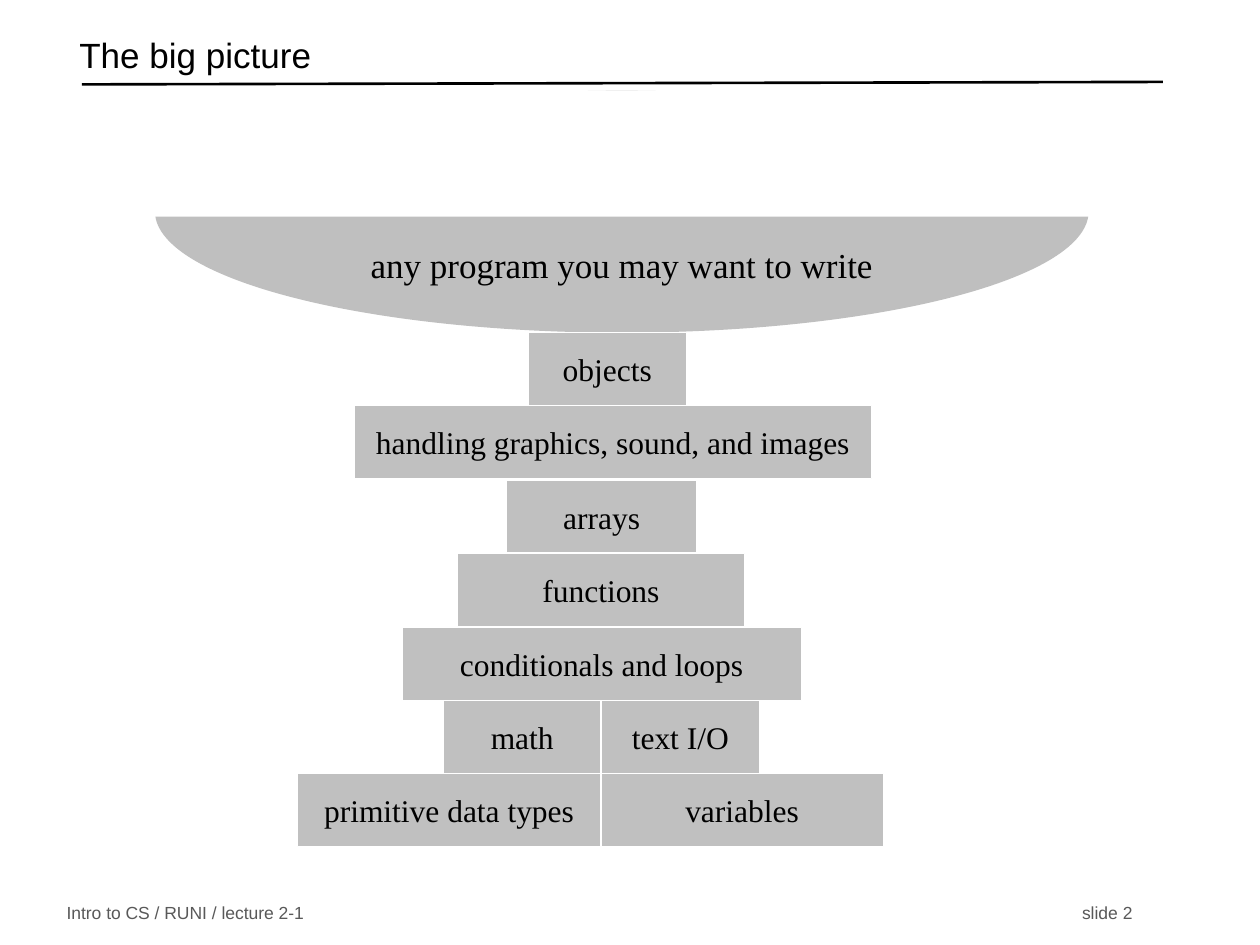
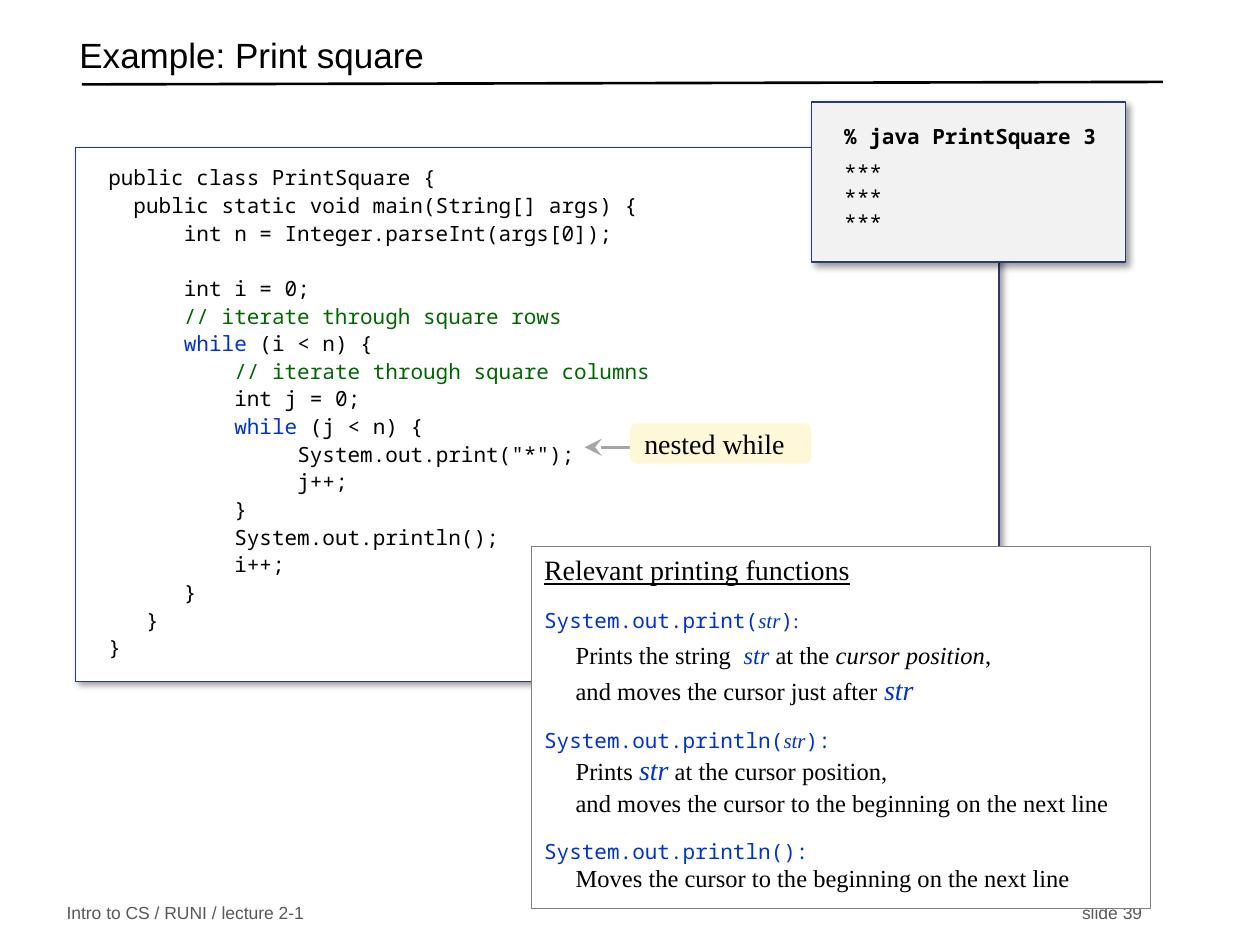
from dataclasses import dataclass

from lxml.etree import SubElement
from pptx import Presentation
from pptx.dml.color import RGBColor
from pptx.enum.shapes import MSO_CONNECTOR as Connector, MSO_SHAPE as Shape
from pptx.enum.text import MSO_ANCHOR as Anchor, MSO_AUTO_SIZE as AutoSize, PP_ALIGN as Align
from pptx.oxml.ns import qn
from pptx.util import Emu, Pt

PX = 9144  # 100 px to the inch


@dataclass(frozen=True)
class Theme:
    black: str = "000000"
    ink: str = "010000"
    white: str = "FFFFFF"
    brick: str = "C0C0C0"
    bowl: str = "808080"
    navy: str = "293973"
    console: str = "F2F2F2"
    callout: str = "FFF8D8"
    arrow: str = "A6A6A6"
    footer: str = "595959"
    comment: str = "006600"
    keyword: str = "0033CC"
    sans: str = "Arial"
    serif: str = "Times New Roman"
    mono: str = "Noto Sans Mono"
    heading_size: int = 20
    brick_size: int = 18
    subhead_size: int = 16
    body_size: int = 14
    code_size: int = 12
    footer_size: int = 10


T = Theme()


def style(name, size, color=T.black, **extra):
    return dict(name=name, size=Pt(size), color=color, **extra)


TITLE = style(T.sans, T.heading_size)
FOOTER = style(T.sans, T.footer_size, T.footer)
BOWL = style(T.serif, T.heading_size)
BRICK = style(T.serif, T.brick_size)
CODE = style(T.mono, T.code_size)
COMMENT = {**CODE, "color": T.comment}
KEYWORD = {**CODE, "color": T.keyword}
COMMAND = {**CODE, "color": T.ink, "bold": True}
CALLOUT = style(T.serif, T.subhead_size)
SUBHEAD = style(T.serif, T.subhead_size, T.ink, underline=True)
BODY = style(T.serif, T.body_size, T.ink)
TERM = {**BODY, "italic": True}
COLON = style(T.serif, T.code_size, T.keyword)
ARGUMENT = {**COLON, "italic": True}
STR = {**TERM, "color": T.keyword}
BIG_STR = {**STR, "size": Pt(T.subhead_size)}


# ---- helpers -------------------------------------------------------------

def px(*lengths):
    return [Emu(round(length * PX)) for length in lengths]


def rgb(color):
    return RGBColor.from_string(color)


def apply(target, values):
    for key, value in values.items():
        setattr(target, key, value)


def write(paragraph, runs, **layout):
    """Fill a paragraph with (text, style) runs."""
    apply(paragraph, layout)
    for text, look in runs:
        run = paragraph.add_run()
        run.text = text
        apply(run.font, {k: v for k, v in look.items() if k != "color"})
        run.font.color.rgb = rgb(look["color"])


def write_all(frame, paragraphs):
    """Write (runs, layout) pairs, one paragraph each."""
    for i, (runs, layout) in enumerate(paragraphs):
        write(frame.add_paragraph() if i else frame.paragraphs[0], runs, **layout)


def set_indent(paragraph, left, first=0):
    left, first = px(left, first)
    properties = paragraph._p.get_or_add_pPr()
    properties.set("marL", str(left))
    properties.set("indent", str(first))


def set_frame(frame, insets=(10, 5, 10, 5), anchor=Anchor.MIDDLE, wrap=True):
    sides = ("margin_left", "margin_top", "margin_right", "margin_bottom")
    apply(frame, dict(zip(sides, px(*insets)), vertical_anchor=anchor,
                      word_wrap=wrap, auto_size=AutoSize.NONE))
    return frame


def add_box(slide, box, fill, line=None, kind=Shape.RECTANGLE):
    shape = slide.shapes.add_shape(kind, *px(*box))
    shape.shadow.inherit = False
    shape.fill.solid()
    shape.fill.fore_color.rgb = rgb(fill)
    if line:
        shape.line.color.rgb = rgb(line)
        shape.line.width = Pt(0.75)
    else:
        shape.line.fill.background()
    return shape


def add_line(slide, start, end, color):
    line = slide.shapes.add_connector(Connector.STRAIGHT, *px(*start, *end))
    line.line.color.rgb = rgb(color)
    line.line.width = Pt(1.5)
    SubElement(line._element.spPr, qn("a:effectLst"))
    return line


def set_alpha(color_element, percent):
    SubElement(color_element, qn("a:alpha"), val=str(percent * 1000))


def drop_shadow(shape):
    effects = shape._element.spPr.find(qn("a:effectLst"))
    shadow = SubElement(effects, qn("a:outerShdw"), blurRad=str(Pt(4)), dist=str(Pt(3)),
                        dir="2700000", algn="tl", rotWithShape="0")
    set_alpha(SubElement(shadow, qn("a:srgbClr"), val=T.black), 40)


# ---- shared slide frame --------------------------------------------------

def add_slide(deck, title, number):
    slide = deck.slides.add_slide(deck.slide_layouts[5])
    heading = slide.shapes.title
    apply(heading, dict(zip(("left", "top", "width", "height"), px(53, 22, 860, 50))))
    frame = set_frame(heading.text_frame)
    write(frame.paragraphs[0], [(title, TITLE)], alignment=Align.LEFT, line_spacing=0.7)
    add_line(slide, (65, 67), (923, 65), T.black)

    # Footer: the slide number sits at a tab stop
    footer = slide.shapes.add_textbox(*px(43, 714, 880, 21))
    paragraph = set_frame(footer.text_frame).paragraphs[0]
    tabs = SubElement(paragraph._p.get_or_add_pPr(), qn("a:tabLst"))
    SubElement(tabs, qn("a:tab"), pos=str(806 * PX), algn="l")
    write(paragraph, [(f"Intro to CS / RUNI / lecture 2-1\tslide {number}", FOOTER)])
    return slide


# ---- slide: the big picture ----------------------------------------------

def add_bowl(slide, box):
    left, top, width, height = box
    bowl = add_box(slide, box, T.bowl, kind=Shape.OVAL)
    set_alpha(bowl._element.spPr.find(".//" + qn("a:srgbClr")), 50)
    frame = set_frame(bowl.text_frame, (0, 84, 0, 0), wrap=False)
    write(frame.paragraphs[0], [("any program you may want to write", BOWL)],
          alignment=Align.CENTER)
    # White band that cuts the bowl to its lower part
    add_box(slide, (left - 106, top, width + 226, 100), T.white)


def add_tower(slide, left, top):
    pitch, height = 58.4, 58
    rows = [
        [(183, 126, "objects")],
        [(45, 411, "handling graphics, sound, and images")],
        [(166, 151, "arrays")],
        [(127, 228, "functions")],
        [(83, 317, "conditionals and loops")],
        [(116, 125, "math"), (241, 126, "text I/O")],
        [(0, 241, "primitive data types"), (241, 224, "variables")],
    ]
    for i, row in enumerate(rows):
        for offset, width, topic in row:
            brick = add_box(slide, (left + offset, top + round(i * pitch), width, height),
                            T.brick, T.white)
            frame = set_frame(brick.text_frame, wrap=False)
            write(frame.paragraphs[0], [(topic, BRICK)], alignment=Align.CENTER)


# ---- slide: print square -------------------------------------------------

def add_code(slide, box):
    char = 10  # width of one code character
    pitch = Pt(15.8)
    lines = [
        (0, [("public class PrintSquare {", CODE)]),
        (2, [("public static void main(String[] args) {", CODE)]),
        (6, [("int n = Integer.parseInt(args[0]);", CODE)]),
        (6, [("int i = 0;", CODE)]),
        (6, [("// iterate through square rows", COMMENT)]),
        (6, [("while", KEYWORD), (" (i < n) {", CODE)]),
        (10, [("// iterate through square columns", COMMENT)]),
        (10, [("int j = 0;", CODE)]),
        (10, [("while", KEYWORD), (" (j < n) {", CODE)]),
        (15, [('System.out.print("*");', CODE)]),
        (15, [("j++;", CODE)]),
        (10, [("}", CODE)]),
        (10, [("System.out.println();", CODE)]),
        (10, [("i++;", CODE)]),
        (6, [("}", CODE)]),
        (3, [("}", CODE)]),
        (0, [("}", CODE)]),
    ]
    listing = add_box(slide, box, T.white, T.navy)
    drop_shadow(listing)
    frame = set_frame(listing.text_frame, (26, 12, 18, 29), Anchor.TOP)
    layout = dict(alignment=Align.LEFT, line_spacing=pitch)
    write_all(frame, [(runs, layout) for _, runs in lines])
    for paragraph, (depth, _) in zip(frame.paragraphs, lines):
        set_indent(paragraph, depth * char)
    frame.paragraphs[3].space_before = pitch  # open line after the argument


def add_console(slide, box):
    console = add_box(slide, box, T.console, T.navy)
    drop_shadow(console)
    frame = set_frame(console.text_frame, (26, 25, 0, 29))
    left = dict(alignment=Align.LEFT)
    write_all(frame, [([("% java PrintSquare 3", COMMAND)], left)]
              + [([("***", CODE)], left)] * 3)
    frame.paragraphs[1].space_before = Pt(6)


def add_functions(slide, box):
    # Each line: indented or not, space before in points, runs
    lines = [
        (False, 0, [("Relevant printing functions", SUBHEAD)]),
        (False, 12, [("System.out.print(", KEYWORD), ("str", ARGUMENT), (")", KEYWORD),
                     (":", COLON)]),
        (True, 4, [("Prints the string  ", BODY), ("str", STR), (" at the ", BODY),
                   ("cursor position", TERM), (",", BODY)]),
        (True, 2, [("and moves the cursor just after ", BODY), ("str", BIG_STR)]),
        (False, 12, [("System.out.println(", KEYWORD), ("str", ARGUMENT), ("):", KEYWORD)]),
        (True, 0, [("Prints ", BODY), ("str", BIG_STR), (" at the cursor position,", BODY)]),
        (True, 1, [("and moves the cursor to the beginning on the next line", BODY)]),
        (False, 12, [("System.out.println():", KEYWORD)]),
        (True, 0, [("Moves the cursor to the beginning on the next line", BODY)]),
    ]
    panel = add_box(slide, box, T.white, T.bowl)
    frame = set_frame(panel.text_frame, anchor=Anchor.TOP)
    write_all(frame, [(runs, dict(alignment=Align.LEFT, space_before=Pt(gap)))
                      for _, gap, runs in lines])
    for paragraph, (indented, _, _) in zip(frame.paragraphs, lines):
        set_indent(paragraph, 25 if indented else 0)


def add_callout(slide, box):
    left, top, _, _ = box
    arrow = add_line(slide, (left + 36, top + 19), (left - 36, top + 19), T.arrow)
    SubElement(arrow.line._get_or_add_ln(), qn("a:tailEnd"), type="stealth", w="lg", len="lg")
    label = add_box(slide, box, T.callout, kind=Shape.ROUNDED_RECTANGLE)
    frame = set_frame(label.text_frame, (10, 5, 0, 5))
    write(frame.paragraphs[0], [("nested while", CALLOUT)], alignment=Align.LEFT)


def main():
    deck = Presentation()
    deck.slide_width, deck.slide_height = px(1000, 750)

    big_picture = add_slide(deck, "The big picture", 2)
    add_bowl(big_picture, (123, 72, 741, 192))
    add_tower(big_picture, 236, 264)

    print_square = add_slide(deck, "Example: Print square", 39)
    add_code(print_square, (60, 117, 733, 424))
    add_console(print_square, (644, 81, 249, 127))
    add_functions(print_square, (422, 434, 491, 287))
    add_callout(print_square, (500, 336, 144, 32))

    deck.save("out.pptx")


if __name__ == "__main__":
    main()
